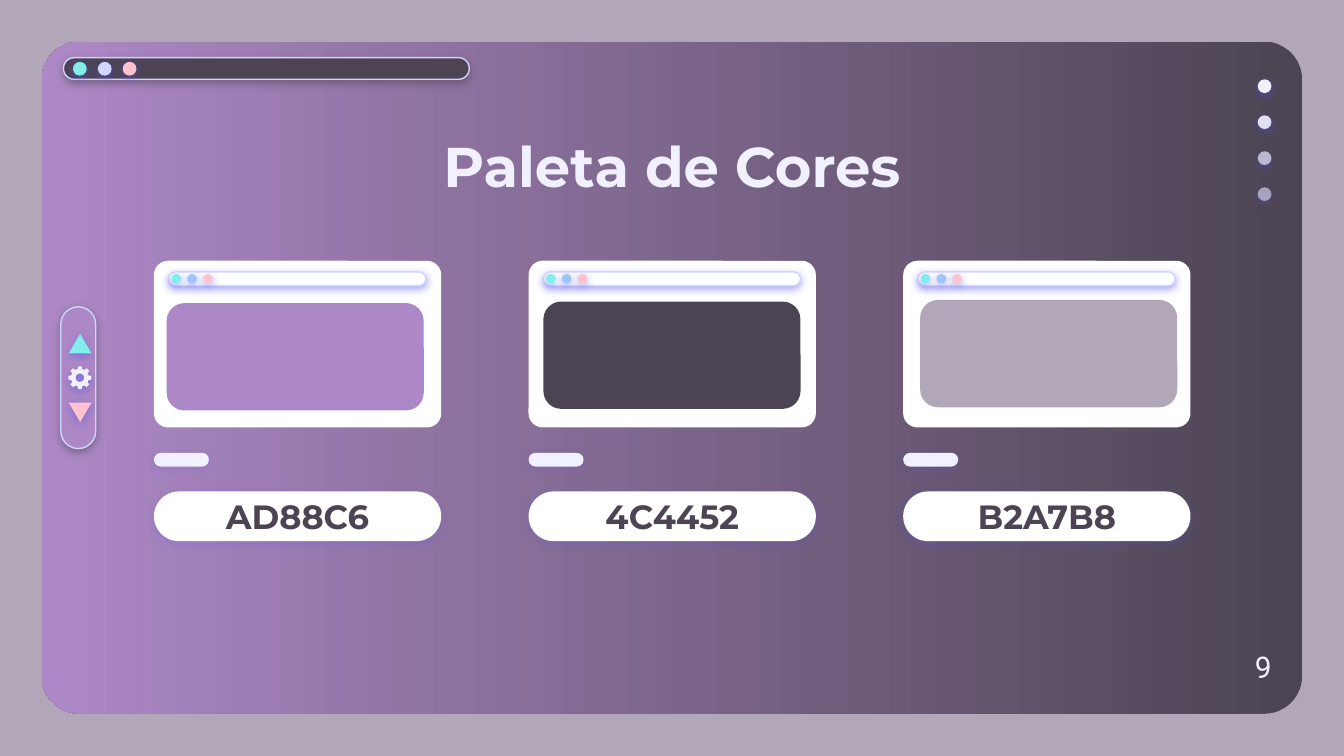
from math import cos, radians, sin

from lxml.etree import SubElement
from pptx import Presentation
from pptx.dml.color import RGBColor
from pptx.enum.shapes import MSO_SHAPE as Shape
from pptx.enum.text import MSO_ANCHOR as Anchor, PP_ALIGN as Align
from pptx.oxml.ns import qn
from pptx.util import Cm, Pt

PURPLE = RGBColor(0xAD, 0x88, 0xC6)
DARK = RGBColor(0x4C, 0x44, 0x52)
MAUVE = RGBColor(0xB2, 0xA7, 0xB8)
WHITE = RGBColor(0xFF, 0xFF, 0xFF)
PALE = RGBColor(0xF1, 0xF0, 0xFF)
LILAC = RGBColor(0xD2, 0xD6, 0xFF)
SKY = RGBColor(0xA1, 0xC3, 0xFF)
AQUA = RGBColor(0x81, 0xEE, 0xEB)
PINK = RGBColor(0xFF, 0xC3, 0xD0)
INDIGO = RGBColor(0x53, 0x52, 0xEE)

prs = Presentation()
prs.slide_width, prs.slide_height = Cm(25.4), Cm(14.29)
slide = prs.slides.add_slide(prs.slide_layouts[6])
slide.background.fill.solid()
slide.background.fill.fore_color.rgb = MAUVE
shapes = slide.shapes


def paint(shape, color, line=None, shadow=None, opacity=50, radius=None):
    """Fill and outline a shape; shadow is a colour, opacity its percentage."""
    shape.fill.solid()
    shape.fill.fore_color.rgb = color
    if line is None:
        shape.line.fill.background()
    else:
        shape.line.color.rgb = line
        shape.line.width = Pt(0.75)
    if radius is not None:
        shape.adjustments[0] = radius
    shape.shadow.inherit = False
    if shadow is not None:
        effects = shape._element.spPr.find(qn("a:effectLst"))
        outer = SubElement(effects, qn("a:outerShdw"), blurRad=str(Pt(4.5)),
                           dist=str(Pt(1.5)), dir="5400000", algn="bl", rotWithShape="0")
        tint = SubElement(outer, qn("a:srgbClr"), val=str(shadow))
        SubElement(tint, qn("a:alpha"), val=str(opacity * 1000))
    return shape


def write(shape, text, font, size, color, align, bold=False):
    frame = shape.text_frame
    frame.word_wrap = True
    frame.margin_left = frame.margin_right = Cm(0.25)
    frame.margin_top = frame.margin_bottom = Cm(0.25)
    frame.text = text
    paragraph = frame.paragraphs[0]
    paragraph.alignment = align
    run_font = paragraph.runs[0].font
    run_font.name, run_font.size, run_font.bold = font, Pt(size), bold
    run_font.color.rgb = color


# Window panel
panel = shapes.add_shape(Shape.ROUNDED_RECTANGLE, Cm(0.79), Cm(0.79), Cm(23.82), Cm(12.7))
paint(panel, DARK, radius=0.056)
panel.fill.gradient()
panel.fill.gradient_angle = 180
for stop, color in zip(panel.fill.gradient_stops, (DARK, PURPLE)):
    stop.color.rgb = color
    stop.position = 0 if color == DARK else 1

# Title bar with its buttons
title_bar = shapes.add_shape(Shape.ROUNDED_RECTANGLE, Cm(1.2), Cm(1.09), Cm(7.67), Cm(0.41))
paint(title_bar, DARK, LILAC, DARK, radius=0.5)
for i, color in enumerate((AQUA, LILAC, PINK)):
    button = shapes.add_shape(Shape.OVAL, Cm(1.38 + 0.47 * i), Cm(1.17), Cm(0.26), Cm(0.26))
    paint(button, color, shadow=INDIGO)

# Fading dots at the right
for i, opacity in enumerate((100, 90, 67, 54)):
    dot = shapes.add_shape(Shape.OVAL, Cm(23.77), Cm(1.5 + 0.68 * i), Cm(0.26), Cm(0.26))
    paint(dot, PALE, shadow=INDIGO)
    dot_color = dot._element.spPr.find(qn("a:solidFill")).find(qn("a:srgbClr"))
    SubElement(dot_color, qn("a:alpha"), val=str(opacity * 1000))

title = shapes.add_textbox(Cm(2), Cm(2.24), Cm(21.4), Cm(1.6))
write(title, "Paleta de Cores", "Montserrat", 30, PALE, Align.CENTER, bold=True)

# One card for each palette colour
for i, swatch_color in enumerate((PURPLE, DARK, MAUVE)):
    left = 2.91 + 7.08 * i
    card = shapes.add_shape(Shape.ROUNDED_RECTANGLE, Cm(left), Cm(4.93), Cm(5.43), Cm(3.15))
    paint(card, WHITE, radius=0.085)

    card_bar = shapes.add_shape(Shape.ROUNDED_RECTANGLE,
                                Cm(left + 0.28), Cm(5.14), Cm(4.86), Cm(0.26))
    paint(card_bar, WHITE, LILAC, INDIGO, radius=0.5)
    for j, color in enumerate((AQUA, SKY, PINK)):
        button = shapes.add_shape(Shape.OVAL, Cm(left + 0.33 + 0.3 * j), Cm(5.18),
                                  Cm(0.18), Cm(0.18))
        paint(button, color, shadow=INDIGO)

    swatch = shapes.add_shape(Shape.ROUNDED_RECTANGLE, Cm(3.15 + 7.12 * i),
                              Cm(5.73 - 0.03 * i), Cm(4.86), Cm(2.03))
    paint(swatch, swatch_color)

    dash = shapes.add_shape(Shape.ROUNDED_RECTANGLE, Cm(left), Cm(8.56), Cm(1.04), Cm(0.26))
    paint(dash, PALE, shadow=INDIGO, opacity=15, radius=0.5)

    code = shapes.add_shape(Shape.ROUNDED_RECTANGLE, Cm(left), Cm(9.29), Cm(5.43), Cm(0.94))
    paint(code, WHITE, shadow=INDIGO, opacity=18, radius=0.5)
    write(code, str(swatch_color), "Montserrat", 18, DARK, Align.CENTER, bold=True)
    code.text_frame.vertical_anchor = Anchor.MIDDLE

# Side control: arrows and gear
control = shapes.add_shape(Shape.ROUNDED_RECTANGLE, Cm(1.15), Cm(5.8), Cm(0.66), Cm(2.68))
paint(control, PURPLE, LILAC, DARK, radius=0.5)
for top, color, rotation in ((6.31, AQUA, 0), (7.61, PINK, 180)):
    arrow = shapes.add_shape(Shape.ISOSCELES_TRIANGLE, Cm(1.3), Cm(top), Cm(0.43), Cm(0.37))
    paint(arrow, color, shadow=INDIGO)
    arrow.rotation = rotation

TOOTH = ((-14, 0.17), (-10, 0.22), (10, 0.22), (14, 0.17))
rim = [(45 * tooth + angle, radius) for tooth in range(8) for angle, radius in TOOTH]
hole = [(-angle, 0.08) for angle in range(0, 360, 15)]
rim_points, hole_points = (
    [(Cm(1.51 + r * cos(radians(a))), Cm(7.14 + r * sin(radians(a)))) for a, r in outline]
    for outline in (rim, hole))
gear_builder = shapes.build_freeform(*rim_points[0])
gear_builder.add_line_segments(rim_points[1:])
gear_builder.move_to(*hole_points[0])
gear_builder.add_line_segments(hole_points[1:])
paint(gear_builder.convert_to_shape(), PALE, shadow=INDIGO, opacity=52)

page_number = shapes.add_textbox(Cm(22.91), Cm(12.01), Cm(1.37), Cm(0.86))
write(page_number, "9", "Roboto", 16, PALE, Align.RIGHT)

prs.save("out.pptx")
